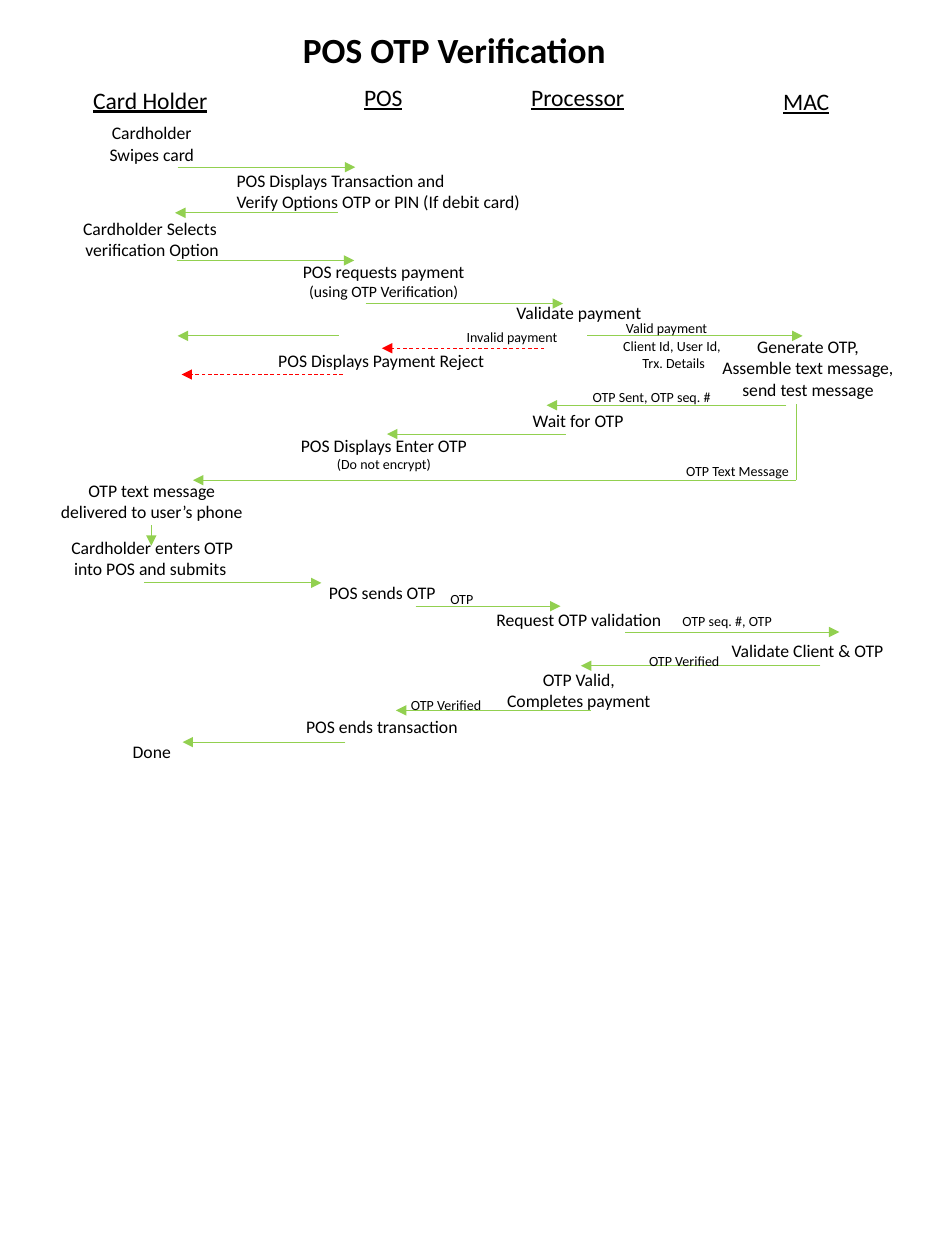
import pptx
import pptx.util
import pptx.dml.color
import pptx.enum.dml
import pptx.enum.shapes
import pptx.enum.text
import pptx.oxml.ns
from lxml import etree
from pptx.util import Cm

BLACK, GREEN, RED = "000000", "92D050", "FF0000"
STEP, NOTE, LABEL, HEADING, TITLE = 10.1, 9, 8, 13.5, 20.2
INSET = 0.25
LINE_PER_PT = 0.043  # line height in cm for each point of type


def color(value):
    return pptx.dml.color.RGBColor.from_string(value)


def write(sp, text, x, y, w, size=STEP, last_size=None, align="CENTER",
          bold=False, underline=False):
    """Place a text shape; its height follows from its lines."""
    lines = text.split("\n")
    sizes = [size] * len(lines)
    sizes[-1] = last_size or size
    sp.left, sp.top, sp.width = Cm(x), Cm(y), Cm(w)
    sp.height = Cm(INSET + LINE_PER_PT * sum(sizes))
    tf = sp.text_frame
    tf.word_wrap = False
    tf.auto_size = pptx.enum.text.MSO_AUTO_SIZE.NONE
    tf.vertical_anchor = pptx.enum.text.MSO_ANCHOR.TOP
    for i, (line, pt) in enumerate(zip(lines, sizes)):
        p = tf.add_paragraph() if i else tf.paragraphs[0]
        p.alignment = getattr(pptx.enum.text.PP_ALIGN, align)
        r = p.add_run()
        r.text = line
        r.font.name, r.font.size = "Calibri", pptx.util.Pt(pt)
        r.font.bold, r.font.underline = bold, underline
        r.font.color.rgb = color(BLACK)


def add_text(s, text, x, y, w, **fmt):
    write(s.shapes.add_textbox(0, 0, 0, 0), text, x, y, w, **fmt)


def add_line(s, x1, y1, x2, y2, line_color=GREEN, dashed=False, arrow=True):
    sp = s.shapes.add_connector(pptx.enum.shapes.MSO_CONNECTOR.STRAIGHT,
                                Cm(x1), Cm(y1), Cm(x2), Cm(y2))
    sp.line.color.rgb = color(line_color)
    sp.line.width = pptx.util.Pt(0.5)
    if dashed:
        sp.line.dash_style = pptx.enum.dml.MSO_LINE.DASH
    qn = pptx.oxml.ns.qn
    if arrow:
        etree.SubElement(sp.line._get_or_add_ln(), qn("a:tailEnd"), type="triangle")
    etree.SubElement(sp._element.spPr, qn("a:effectLst"))


def add_headings(s, left, top):
    """Title and the names of the four parties."""
    write(s.shapes.title, "POS OTP Verification", left + 4.16, top, 6.73,
          size=TITLE, bold=True)
    for text, x, y, w in [("Card Holder", 0, 1.17, 2.84), ("POS", 5.46, 1.12, 1.3),
                          ("Processor", 8.83, 1.12, 2.41), ("MAC", 13.91, 1.2, 1.45)]:
        add_text(s, text, left + x, top + y, w, size=HEADING, align="LEFT",
                 underline=True)


def add_messages(s, left, top):
    """Arrows between the parties: height, start, end."""
    for y, x1, x2 in [
            (3.37, 3.58, 7.16), (4.29, 6.81, 3.53), (5.25, 3.56, 7.14),
            (6.12, 7.37, 11.35), (6.77, 6.83, 3.58), (6.77, 11.84, 16.18),
            (8.17, 15.85, 11.02), (8.75, 11.4, 7.8), (9.68, 16.05, 3.89),
            (11.75, 2.9, 6.48), (12.22, 8.38, 11.3), (12.74, 12.6, 16.92),
            (13.42, 16.54, 11.71), (14.32, 11.91, 7.98), (14.96, 6.96, 3.68)]:
        add_line(s, left + x1, top + y, left + x2, top + y)
    # Rejected payment
    for y, x1, x2 in [(7.02, 10.97, 7.7), (7.55, 6.91, 3.66)]:
        add_line(s, left + x1, top + y, left + x2, top + y,
                 line_color=RED, dashed=True)
    # Vertical links
    add_line(s, left + 16.05, top + 8.15, left + 16.05, top + 9.68, arrow=False)
    add_line(s, left + 3.05, top + 10.59, left + 3.05, top + 11)


def add_steps(s, left, top):
    """What each party does, in order."""
    for text, x, y, w, fmt in [
            ("Cardholder\nSwipes card", 1.93, 2.34, 2.26, {}),
            ("POS Displays Transaction and \nVerify Options OTP or PIN (If debit card)",
             4.52, 3.3, 6.45, {"align": "LEFT"}),
            ("Cardholder Selects \nverification Option", 1.4, 4.27, 3.33, {}),
            ("POS requests payment\n(using OTP Verification)", 5.74, 5.13, 3.99,
             {"last_size": NOTE}),
            ("Validate payment", 9.98, 5.97, 3.38, {}),
            ("POS Displays Payment Reject", 5.36, 6.93, 4.78, {"align": "LEFT"}),
            ("Generate OTP,\nAssemble text message,\nsend test message",
             14.22, 6.65, 4.14, {}),
            ("Wait for OTP", 10.46, 8.13, 2.39, {}),
            ("POS Displays Enter OTP\n(Do not encrypt)", 5.77, 8.64, 3.94,
             {"last_size": LABEL}),
            ("OTP text message\ndelivered to user’s phone", 0.94, 9.55, 4.24, {}),
            ("Cardholder enters OTP\ninto POS and submits ", 1.14, 10.69, 3.86, {}),
            ("POS sends OTP", 6.38, 11.61, 2.72, {"align": "LEFT"}),
            ("Request OTP validation", 9.7, 12.14, 3.94, {}),
            ("Validate Client & OTP", 14.45, 12.78, 3.66, {}),
            ("OTP Valid,\nCompletes payment", 9.93, 13.36, 3.48, {}),
            ("POS ends transaction", 5.92, 14.3, 3.63, {"align": "LEFT"}),
            ("Done", 2.41, 14.81, 1.3, {})]:
        add_text(s, text, left + x, top + y, w, **fmt)


def add_labels(s, left, top):
    """Small captions on the arrows."""
    for text, x, y, w in [
            ("Invalid payment", 9.04, 6.5, 2.57),
            ("Valid payment", 12.22, 6.32, 2.44),
            ("Client Id, User Id,\n Trx. Details", 11.81, 6.68, 3.48),
            ("OTP Sent, OTP seq. #", 11.63, 7.7, 3.02),
            ("OTP Text Message", 13.36, 9.19, 3.02),
            ("OTP", 8.74, 11.79, 1.14),
            ("OTP seq. #, OTP", 13.44, 12.22, 2.44),
            ("OTP Verified", 12.78, 13.03, 2.03),
            ("OTP Verified", 7.98, 13.92, 2.03)]:
        add_text(s, text, left + x, top + y, w, size=LABEL)


prs = pptx.Presentation()
prs.slide_width, prs.slide_height = Cm(19.05), Cm(25.4)
s = prs.slides.add_slide(prs.slide_layouts[5])
add_headings(s, 1.63, 0.43)
for add_part in (add_messages, add_steps, add_labels):
    add_part(s, 0, 0)
prs.save("out.pptx")
